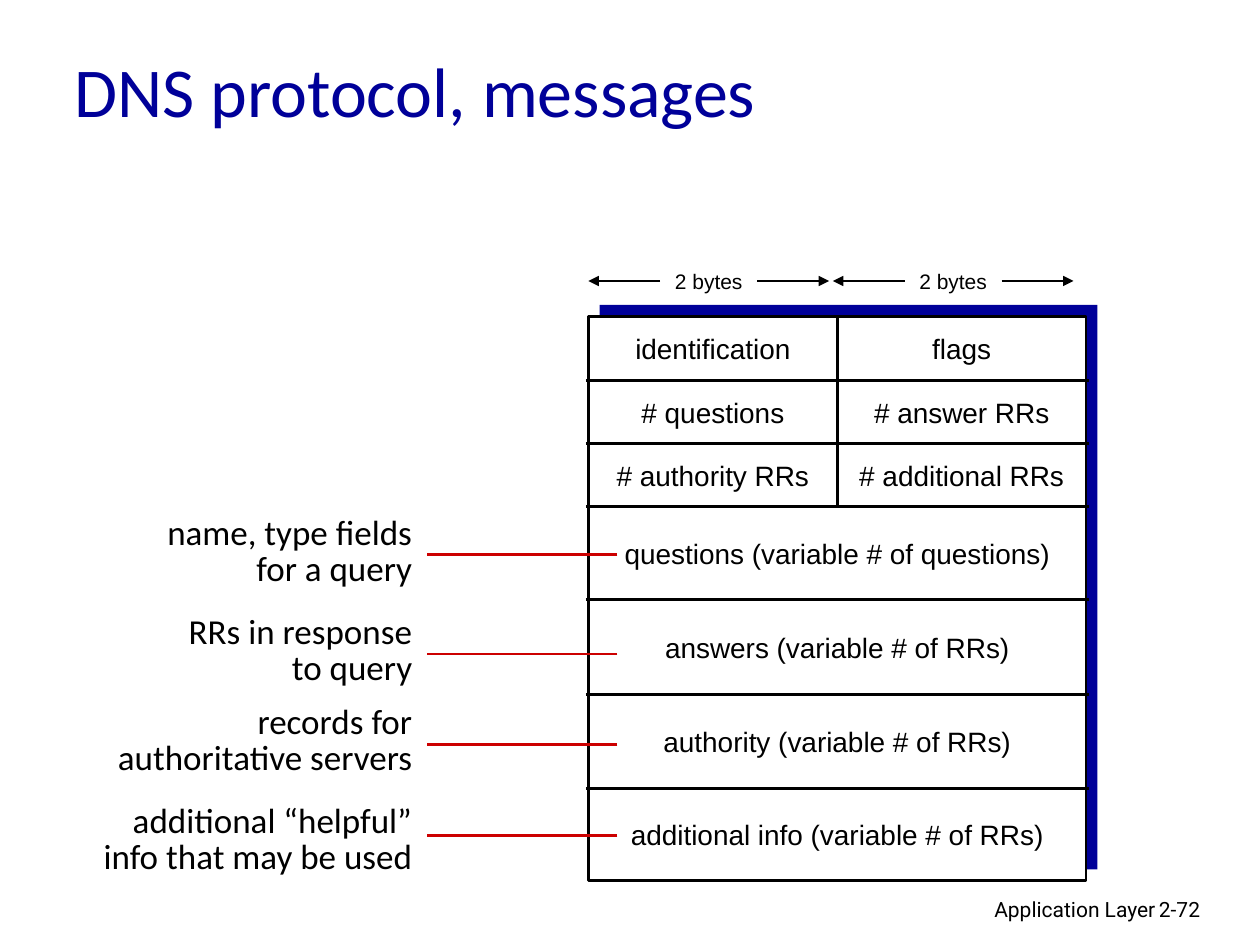
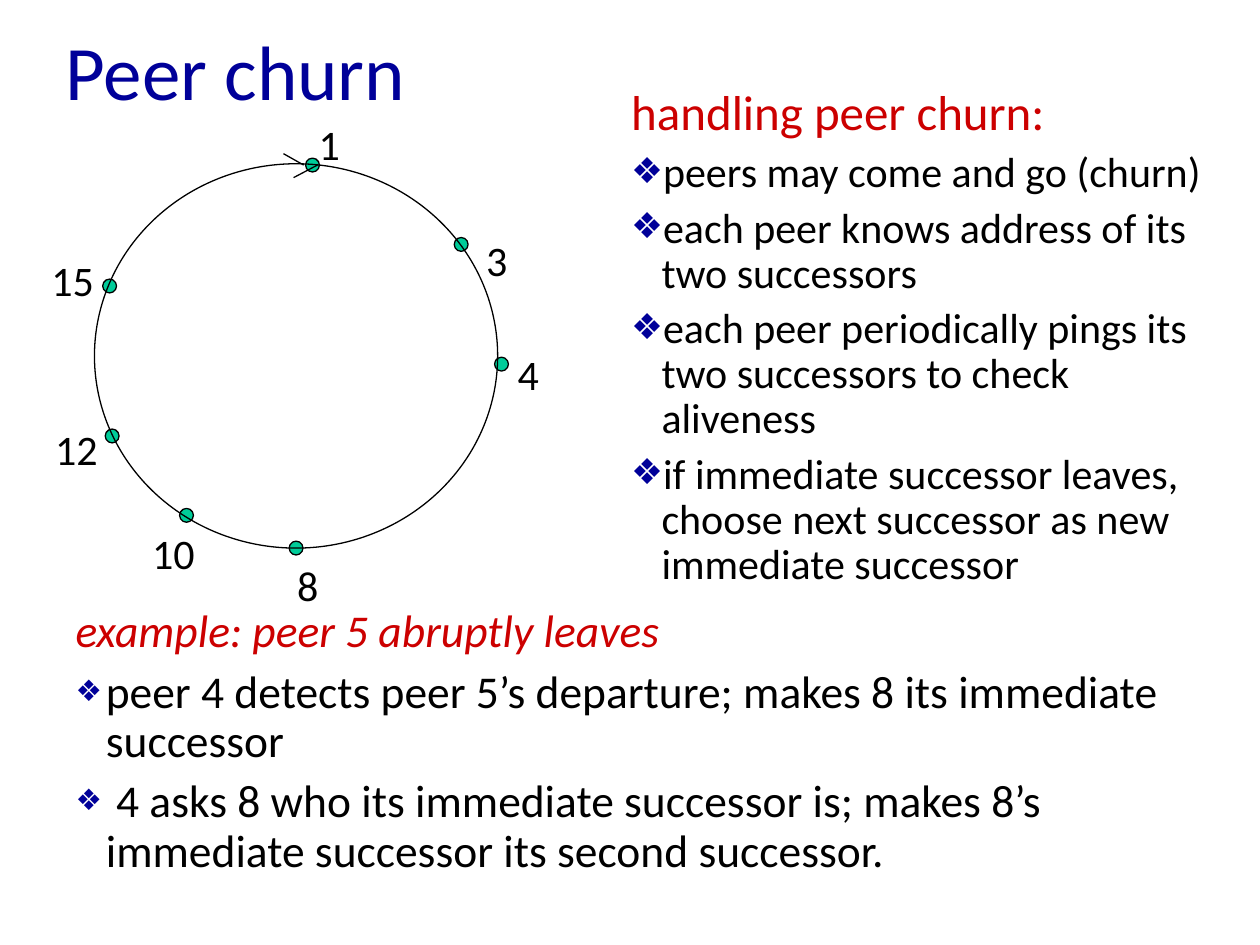
from dataclasses import dataclass
from itertools import accumulate

from lxml import etree
from pptx import Presentation
from pptx import util as u
from pptx.dml.color import RGBColor
from pptx.enum import shapes, text
from pptx.oxml import ns

Box = tuple[float, float, float, float]
LEFT, MID, RIGHT = text.PP_ALIGN.LEFT, text.PP_ALIGN.CENTER, text.PP_ALIGN.RIGHT
OVAL, RECT = shapes.MSO_SHAPE.OVAL, shapes.MSO_SHAPE.RECTANGLE


@dataclass(frozen=True)
class Theme:
    navy: str = "000099"
    red: str = "CC0000"
    green: str = "00CC99"
    ink: str = "000000"
    paper: str = "FFFFFF"
    sans: str = "Calibri"
    mono: str = "Arial"
    foot: str = "Roboto"
    small: float = 12
    cell: float = 16
    note: float = 20
    label: float = 24
    thin: float = 0.75
    thick: float = 1.5


T = Theme()


def put(obj, vals):
    for name, val in vals.items():
        setattr(obj, name, val)


def place(shape, box):
    put(shape, dict(zip(("left", "top", "width", "height"), map(u.Inches, box))))


def style(run, size, color=T.ink, face=T.sans, italic=False):
    put(run.font, {"size": u.Pt(size), "name": face, "italic": italic})
    run.font.color.rgb = RGBColor.from_string(color)


def write(slide, box, lines, size, face=T.sans, align=LEFT, middle=False, wrap=True, gap=None):
    frame = slide.shapes.add_textbox(*map(u.Inches, box)).text_frame
    anchor = text.MSO_ANCHOR.MIDDLE if middle else text.MSO_ANCHOR.TOP
    put(frame, {"word_wrap": wrap, "vertical_anchor": anchor, "text": lines})
    for para in frame.paragraphs:
        put(para, {"alignment": align, "line_spacing": gap})
        style(para.runs[0], size, face=face)


def draw(slide, kind, box, fill=None, edge=None):
    shape = slide.shapes.add_shape(kind, *map(u.Inches, box))
    shape.shadow.inherit = False
    if fill:
        shape.fill.solid()
        shape.fill.fore_color.rgb = RGBColor.from_string(fill)
    else:
        shape.fill.background()
    if edge:
        shape.line.color.rgb = RGBColor.from_string(T.ink)
        shape.line.width = u.Pt(edge)
    else:
        shape.line.fill.background()


def rule(slide, start, end, width=T.thick, color=T.ink, arrow=False):
    line = slide.shapes.add_connector(
        shapes.MSO_CONNECTOR.STRAIGHT, *map(u.Inches, (*start, *end)))
    line.line.color.rgb = RGBColor.from_string(color)
    line.line.width = u.Pt(width)
    props = line._element.spPr
    if arrow:
        etree.SubElement(props.find(ns.qn("a:ln")), ns.qn("a:tailEnd"), type="triangle")
    etree.SubElement(props, ns.qn("a:effectLst"))


def title(slide, box, words, size):
    shape = slide.shapes.title
    place(shape, box)
    put(shape.text_frame, {
        "text": words, "auto_size": text.MSO_AUTO_SIZE.NONE,
        "vertical_anchor": text.MSO_ANCHOR.MIDDLE})
    para = shape.text_frame.paragraphs[0]
    para.alignment = LEFT
    style(para.runs[0], size, T.navy)


def bullet(para, scale):
    props = para._p.get_or_add_pPr()
    hang = u.Inches(0.24) if scale else 0
    props.set("marL", str(hang))
    props.set("indent", str(-hang))
    if not scale:
        etree.SubElement(props, ns.qn("a:buNone"))
        return
    tint = etree.SubElement(props, ns.qn("a:buClr"))
    etree.SubElement(tint, ns.qn("a:srgbClr"), val=T.navy)
    etree.SubElement(props, ns.qn("a:buSzPct"), val=str(scale * 1000))
    etree.SubElement(props, ns.qn("a:buChar"), char="❖")


def points(shape, box, head, items, sizes, scale, gaps, before, italic=False):
    place(shape, box)
    frame = shape.text_frame
    put(frame, {"text": "\n".join([head, *items]),
                "auto_size": text.MSO_AUTO_SIZE.NONE, "word_wrap": True})
    for num, para in enumerate(frame.paragraphs):
        first = num == 0
        bullet(para, 0 if first else scale)
        put(para, {"alignment": LEFT, "space_before": u.Pt(0 if first else before),
                   "line_spacing": gaps[0] if first else gaps[1]})
        style(para.runs[0], sizes[0] if first else sizes[1],
              T.red if first else T.ink, italic=first and italic)


def ruler(slide, box: Box):
    x, y, w, h = box
    mid, arm = y + h / 2, 0.57
    write(slide, box, "2 bytes", T.small, T.mono, MID, True)
    rule(slide, (x + arm, mid), (x, mid), T.thin, arrow=True)
    rule(slide, (x + w - arm, mid), (x + w, mid), T.thin, arrow=True)


def message(slide, box: Box):
    x, y, w, h = box
    rows = [
        (0.51, "identification", "flags"),
        (0.5, "# questions", "# answer RRs"),
        (0.5, "# authority RRs", "# additional RRs"),
        (0.74, "questions (variable # of questions)"),
        (0.75, "answers (variable # of RRs)"),
        (0.75, "authority (variable # of RRs)"),
        (0.73, "additional info (variable # of RRs)"),
    ]
    tops = list(accumulate((row[0] for row in rows), initial=y))
    draw(slide, RECT, (x + 0.09, y - 0.09, w, h), T.navy)
    draw(slide, RECT, box, T.paper, T.thick)
    for top in tops[1:-1]:
        rule(slide, (x - 0.02, top), (x + w + 0.02, top))
    rule(slide, (x + w / 2, y), (x + w / 2, tops[3]))
    for top, (tall, *names) in zip(tops, rows):
        wide = w / len(names)
        for col, name in enumerate(names):
            write(slide, (x + col * wide, top, wide, tall), name,
                  T.cell, T.mono, MID, True)
    for col in range(2):
        ruler(slide, (x + col * 1.94, y - 0.43, 1.91, 0.3))


def notes(slide, box: Box):
    x, y, w, h = box
    items = [
        (0, 0.35, "name, type fields\nfor a query"),
        (0.79, 1.14, "RRs in response\nto query"),
        (1.5, 1.86, "records for\nauthoritative servers"),
        (2.29, 2.58, "additional “helpful”\ninfo that may be used"),
    ]
    for top, mark, words in items:
        write(slide, (x, y + top, w, h), words, T.note, align=RIGHT, middle=True, gap=0.85)
        rule(slide, (x + w + 1.53, y + mark), (x + w + 0.02, y + mark), color=T.red)


def footer(slide, box: Box, name, page):
    x, y, w, h = box
    write(slide, (x, y, w, h), name, T.small, T.foot, RIGHT)
    write(slide, (x + w - 0.17, y, 0.74, h), page, T.small, T.foot)


def ring(slide, box: Box):
    x, y, w, h = box
    peers = [
        ("1", 1.73, 0.01, 1.68, -0.41),
        ("3", 2.91, 0.64, 3.01, 0.51),
        ("4", 3.23, 1.59, 3.26, 1.42),
        ("8", 1.6, 3.05, 1.51, 3.09),
        ("10", 0.73, 2.79, 0.36, 2.84),
        ("12", 0.14, 2.16, -0.41, 2.01),
        ("15", 0.12, 0.97, -0.44, 0.67),
    ]
    dot = 0.11
    for name, across, down, left, top in peers:
        draw(slide, OVAL, (x + across - dot / 2, y + down - dot / 2, dot, dot),
             T.green, T.thin)
        write(slide, (x + left, y + top, 0.2 + 0.17 * len(name), 0.5), name,
              T.label, wrap=False)
    draw(slide, OVAL, box, edge=T.thin)
    rule(slide, (x + 1.5, y - 0.08), (x + 1.66, y + 0.01), T.thin)
    rule(slide, (x + 1.77, y + 0.01), (x + 1.58, y + 0.11), T.thin)


def format_slide(deck):
    slide = deck.slides.add_slide(deck.slide_layouts[5])
    title(slide, (0.49, 0.24, 8.5, 0.94), "DNS protocol, messages", 40)
    message(slide, (4.67, 2.51, 3.95, 4.48))
    notes(slide, (0.32, 4.05, 3.05, 0.67))
    footer(slide, (6.1, 7.07, 3.17, 0.3), "Application Layer", "2-72")


def churn_slide(deck):
    slide = deck.slides.add_slide(deck.slide_layouts[3])
    title(slide, (0.42, 0, 9, 1.11), "Peer churn", 44)
    ring(slide, (0.75, 1.3, 3.2, 3.05))
    points(slide.placeholders[1], (0.5, 4.78, 9, 2.33),
           "example: peer 5 abruptly leaves",
           ["peer 4 detects peer 5’s departure; makes 8 its immediate successor",
            " 4 asks 8 who its immediate successor is; makes 8’s immediate successor"
            " its second successor."],
           (26, 26), 65, (0.9, 0.9), 6.5, True)
    points(slide.placeholders[2], (4.91, 0.6, 4.84, 4.15),
           "handling peer churn:",
           ["peers may come and go (churn)",
            "each peer knows address of its two successors",
            "each peer periodically pings its two successors to check aliveness",
            "if immediate successor leaves, choose next successor as new"
            " immediate successor"],
           (28, 24), 85, (1.0, u.Pt(25.7)), 6)


def main():
    deck = Presentation()
    put(deck, {"slide_width": u.Inches(10), "slide_height": u.Inches(7.5)})
    format_slide(deck)
    churn_slide(deck)
    deck.save("out.pptx")


if __name__ == "__main__":
    main()
